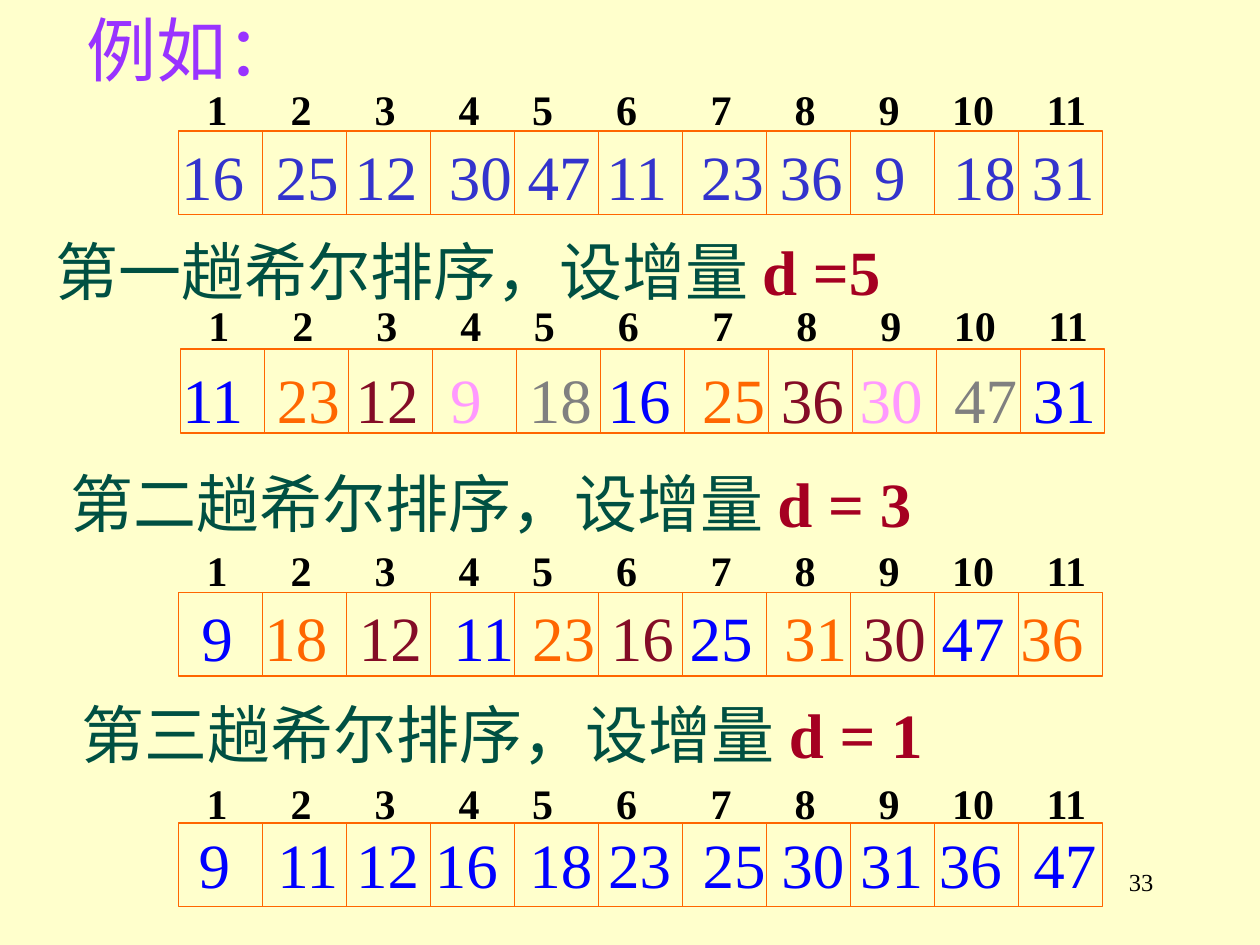
from dataclasses import dataclass
from itertools import cycle

from lxml import etree
from pptx import Presentation
from pptx.dml.color import RGBColor
from pptx.enum.shapes import MSO_CONNECTOR, MSO_SHAPE
from pptx.enum.text import PP_ALIGN
from pptx.oxml.ns import qn
from pptx.util import Pt

RECTANGLE = MSO_SHAPE.RECTANGLE
STRAIGHT = MSO_CONNECTOR.STRAIGHT
LEFT, RIGHT = PP_ALIGN.LEFT, PP_ALIGN.RIGHT

BLUE, ORANGE, MAROON = "0000FF", "FF6600", "840C26"
CELL = 48
POSITIONS = [str(number) for number in range(1, 12)]
POSITION_GAPS = [6, 6, 6, 5, 6, 7, 6, 6, 5, 5]


def color(value):
    return RGBColor.from_string(value)


@dataclass
class SlideWriter:
    slide: object
    font: str = "Times New Roman"
    border: str = ORANGE
    border_width: float = 0.75

    def background(self, value):
        fill = self.slide.background.fill
        fill.solid()
        fill.fore_color.rgb = color(value)

    def text(self, left, top, width, height, spans, align=LEFT, stops=()):
        box = self.slide.shapes.add_textbox(Pt(left), Pt(top), Pt(width), Pt(height))
        box.text_frame.word_wrap = True
        para = box.text_frame.paragraphs[0]
        para.alignment = align
        if stops:
            tabs = etree.SubElement(para._p.get_or_add_pPr(), qn("a:tabLst"))
            for stop in stops:
                etree.SubElement(tabs, qn("a:tab"), pos=str(Pt(stop)), algn="l")
        for wording, size, value, bold in spans:
            span = para.add_run()
            span.text = wording
            span.font.name = self.font
            span.font.size = Pt(size)
            span.font.bold = bold
            span.font.color.rgb = color(value)

    def numbers(self, left, top, values, gaps, size, colors, bold=False):
        stops, offset = [], 0
        for value, gap in zip(values, gaps):
            offset += (2 * len(value) + gap) * size / 4
            stops.append(offset)
        wordings = [values[0]] + ["\t" + value for value in values[1:]]
        spans = [(wording, size, shade, bold)
                 for wording, shade in zip(wordings, cycle(colors))]
        self.text(left, top, 560, size * 1.4, spans, stops=stops)

    def divider(self, x, top):
        line = self.slide.shapes.add_connector(
            STRAIGHT, Pt(x), Pt(top), Pt(x), Pt(top + CELL))
        line.line.color.rgb = color(self.border)
        line.line.width = Pt(self.border_width)
        etree.SubElement(line._element.spPr, qn("a:effectLst"))

    def cells(self, left, top, count):
        frame = self.slide.shapes.add_shape(
            RECTANGLE, Pt(left), Pt(top), Pt(CELL * count), Pt(CELL))
        frame.shadow.inherit = False
        frame.fill.background()
        frame.line.color.rgb = color(self.border)
        frame.line.width = Pt(self.border_width)
        for index in range(1, count):
            self.divider(left + CELL * index, top)

    def step(self, left, top, heading, increment):
        self.text(left, top, 514, 50, [
            (heading, 36, "005042", False), (increment, 36, "A50021", True)])


ROWS = [
    (102, 74.8, 43.9, 96.5, 74.9, "16 25 12 30 47 11 23 36 9 18 31",
     [2, 1, 2, 1, 1, 2, 1, 2, 3, 1], ["3333CC"]),
    (103, 199.4, 167.8, 97.2, 202.3, "11 23 12 9 18 16 25 36 30 47 31",
     [2, 1, 2, 3, 1, 2, 1, 1, 2, 1], [BLUE, ORANGE, MAROON, "FF99FF", "808080"]),
    (102, 338.4, 307.4, 108, 338.4, "9 18 12 11 23 16 25 31 30 47 36",
     [2, 2, 2, 1, 1, 1, 2, 1, 1, 1], [BLUE, ORANGE, MAROON]),
    (102, 470.2, 440.6, 106.5, 468, "9 11 12 16 18 23 25 30 31 36 47",
     [3, 1, 1, 2, 1, 2, 1, 1, 1, 2], [BLUE]),
]
STEPS = [
    (24.4, 129.6, "第一趟希尔排序，设增量 ", "d =5"),
    (33.1, 262.1, "第二趟希尔排序，设增量 ", "d = 3"),
    (39.6, 393.8, "第三趟希尔排序，设增量 ", "d = 1"),
]


def main():
    deck = Presentation()
    deck.slide_width, deck.slide_height = Pt(720), Pt(540)
    page = SlideWriter(deck.slides.add_slide(deck.slide_layouts[6]))
    page.background("FFFFCC")
    page.text(42.5, 0, 134, 55.4, [("例如：", 40, "9933FF", False)])
    for left, top, index_top, text_left, text_top, values, gaps, colors in ROWS:
        page.cells(left, top, len(POSITIONS))
        page.numbers(text_left, text_top, values.split(), gaps, 36, colors)
        page.numbers(left + 9, index_top, POSITIONS, POSITION_GAPS, 24,
                     ["000000"], bold=True)
    for step in STEPS:
        page.step(*step)
    page.text(516.2, 491.8, 150, 36, [("33", 14, "000000", False)], align=RIGHT)
    deck.save("out.pptx")


if __name__ == "__main__":
    main()
